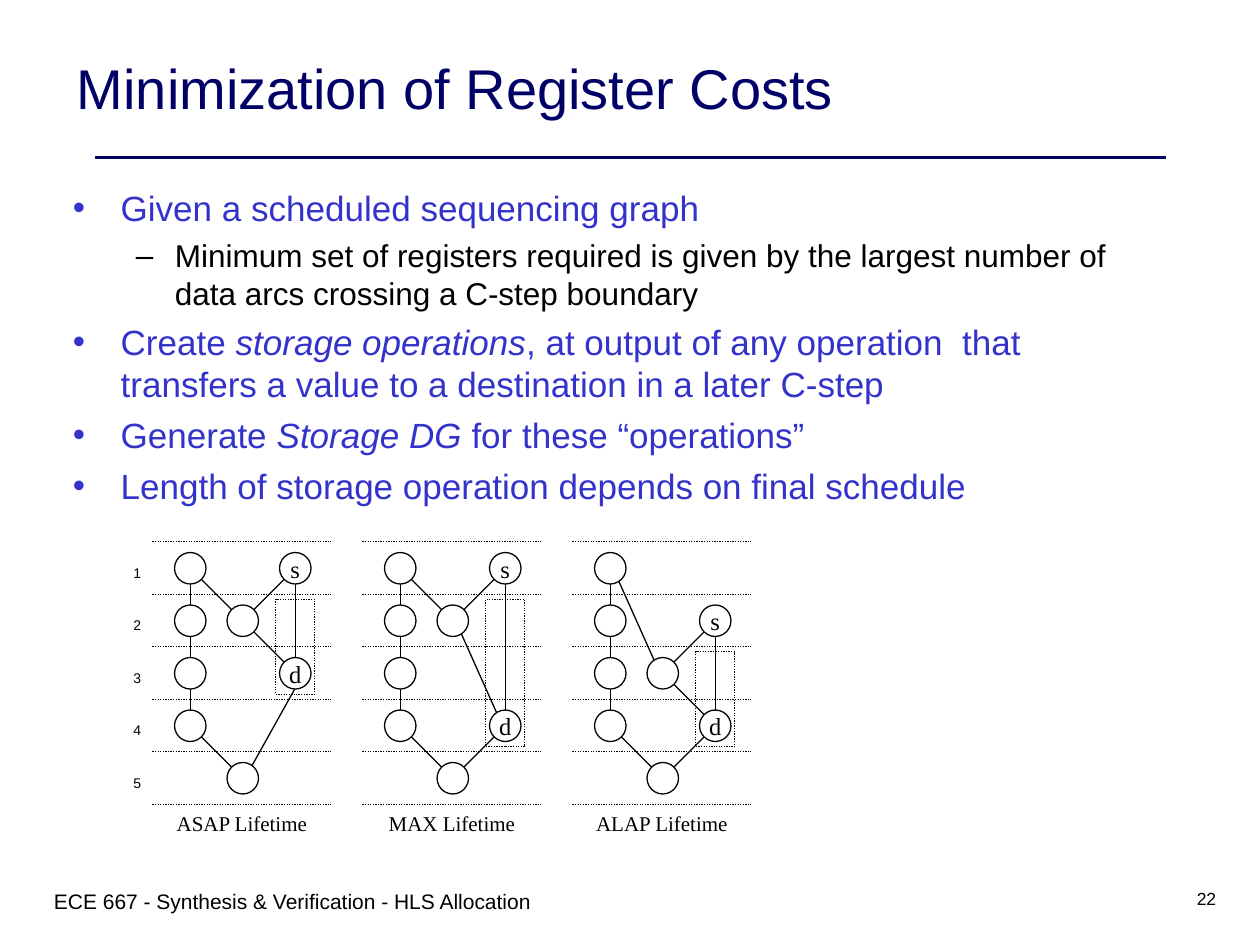
from lxml import etree
from pptx import Presentation
from pptx.dml.color import RGBColor
from pptx.enum.dml import MSO_LINE
from pptx.enum.shapes import MSO_CONNECTOR, MSO_SHAPE
from pptx.enum.text import MSO_ANCHOR, PP_ALIGN
from pptx.oxml.ns import qn
from pptx.util import Inches, Pt

LEFT, CENTER, RIGHT = PP_ALIGN.LEFT, PP_ALIGN.CENTER, PP_ALIGN.RIGHT
STRAIGHT, DOTTED = MSO_CONNECTOR.STRAIGHT, MSO_LINE.ROUND_DOT
OVAL, RECTANGLE = MSO_SHAPE.OVAL, MSO_SHAPE.RECTANGLE
TOP, MIDDLE = MSO_ANCHOR.TOP, MSO_ANCHOR.MIDDLE
NAVY = RGBColor(0x00, 0x00, 0x66)
BLUE = RGBColor(0x33, 0x33, 0xCC)
BLACK = RGBColor(0, 0, 0)
WHITE = RGBColor(0xFF, 0xFF, 0xFF)
SANS, SERIF = "Arial", "Times New Roman"

# Content
TITLE = "Minimization of Register Costs"
FOOTER = "ECE 667 - Synthesis & Verification - HLS Allocation"
PAGE_NUMBER = "22"
# (level, [(text, italic), ...])
BULLETS = [
    (0, [("Given a scheduled sequencing graph", False)]),
    (1, [("Minimum set of registers required is given by the largest number of "
          "data arcs crossing a C-step boundary", False)]),
    (0, [("Create ", False), ("storage operations", True),
         (", at output of any operation  that transfers a value to a "
          "destination in a later C-step", False)]),
    (0, [("Generate ", False), ("Storage DG", True),
         (" for these “operations”", False)]),
    (0, [("Length of storage operation depends on final schedule", False)]),
]
# Bullet, indent, hanging, size, space before, colour for each level
LEVELS = [("•", 0.38, 0.38, 20, 5, BLUE), ("–", 0.81, 0.31, 18, 4.5, BLACK)]

# Every graph has a chain in column 0, rows 0-3, and a sink at (1, 4).
# Other nodes and edges are given as (column, row).
CHAIN = [(0, row) for row in range(4)]
SINK = (1, 4)
GRAPHS = [
    {"caption": "ASAP Lifetime", "middle": (1, 1), "s": (2, 0), "d": (2, 2),
     "d_exit": (2.2, 2)},
    {"caption": "MAX Lifetime", "middle": (1, 1), "s": (2, 0), "d": (2, 3)},
    {"caption": "ALAP Lifetime", "middle": (1, 2), "s": (2, 1), "d": (2, 3)},
]

# Graph grid
STEPS = 5
STEP = 5 / 12
GRAPH_LEFT, GRAPH_TOP = 1.21, 4.3
GRAPH_WIDTH, GRAPH_PITCH = 1.42, 4 * STEP
NODE_X, NODE_Y = 0.3, 0.21
NODE_SIZE = 0.25
EDGE_INSET = 0.04
LIFETIME_WIDTH = 0.31

prs = Presentation()
prs.slide_width, prs.slide_height = Inches(10), Inches(7.5)
slide = prs.slides.add_slide(prs.slide_layouts[5])


def box(left, top, width, height):
    return [Inches(v) for v in (left, top, width, height)]


def add_run(paragraph, text, size, font, color, italic=False):
    run = paragraph.add_run()
    run.text = text
    run.font.size, run.font.name = Pt(size), font
    run.font.color.rgb = color
    run.font.italic = italic


def add_label(text, area, size, font=SANS, align=LEFT, wrap=True):
    frame = slide.shapes.add_textbox(*box(*area)).text_frame
    frame.word_wrap = wrap
    frame.paragraphs[0].alignment = align
    add_run(frame.paragraphs[0], text, size, font, BLACK)


def add_line(start, end, color=BLACK, width=0.75, dash=None):
    line = slide.shapes.add_connector(
        STRAIGHT, *[Inches(v) for v in (*start, *end)])
    line.line.color.rgb, line.line.width = color, Pt(width)
    if dash:
        line.line.dash_style = dash
    etree.SubElement(line._element.spPr, qn("a:effectLst"))


def add_outline(kind, area, fill=None, dash=None):
    shape = slide.shapes.add_shape(kind, *box(*area))
    shape.shadow.inherit = False
    if fill is None:
        shape.fill.background()
    else:
        shape.fill.solid()
        shape.fill.fore_color.rgb = fill
    shape.line.color.rgb, shape.line.width = BLACK, Pt(0.75)
    if dash:
        shape.line.dash_style = dash
    return shape


def set_bullet(paragraph, char, indent, hanging, color):
    props = paragraph._p.get_or_add_pPr()
    props.set("marL", str(Inches(indent)))
    props.set("indent", str(-Inches(hanging)))
    bullet_color = etree.SubElement(props, qn("a:buClr"))
    etree.SubElement(bullet_color, qn("a:srgbClr"), val=str(color))
    etree.SubElement(props, qn("a:buFont"), typeface=SANS)
    etree.SubElement(props, qn("a:buChar"), char=char)


def add_edge(left, start, end):
    """Join two grid nodes; the nodes drawn later cover the line ends."""
    (x1, y1), (x2, y2) = [
        (left + NODE_X + column * STEP, GRAPH_TOP + NODE_Y + row * STEP)
        for column, row in (start, end)]
    if start[0] == end[0]:
        add_line((x1, y1 + NODE_SIZE / 2), (x2, y2 - EDGE_INSET))
    else:
        shift = EDGE_INSET if x2 > x1 else -EDGE_INSET
        add_line((x1 + shift, y1 + EDGE_INSET), (x2 - shift, y2 - EDGE_INSET))


def add_node(left, place, letter=""):
    column, row = place
    node = add_outline(OVAL, (left + NODE_X + column * STEP - NODE_SIZE / 2,
                              GRAPH_TOP + NODE_Y + row * STEP - NODE_SIZE / 2,
                              NODE_SIZE, NODE_SIZE), fill=WHITE)
    if letter:
        frame = node.text_frame
        frame.margin_left = frame.margin_right = 0
        frame.margin_top = frame.margin_bottom = 0
        frame.word_wrap, frame.vertical_anchor = False, MIDDLE
        frame.paragraphs[0].alignment = CENTER
        add_run(frame.paragraphs[0], letter, 14, SERIF, BLACK)


def add_graph(left, graph):
    middle, s, d = graph["middle"], graph["s"], graph["d"]
    for boundary in range(STEPS + 1):
        y = GRAPH_TOP + boundary * STEP
        add_line((left, y), (left + GRAPH_WIDTH, y), dash=DOTTED)
    for start, end in [(CHAIN[0], CHAIN[-1]), (CHAIN[0], middle), (s, middle),
                       (middle, d), (s, d), (graph.get("d_exit", d), SINK),
                       (CHAIN[-1], SINK)]:
        add_edge(left, start, end)
    for place in CHAIN + [middle, SINK]:
        add_node(left, place)
    add_node(left, s, "s")
    add_node(left, d, "d")
    # Lifetime runs from the end of the step of s to the end of the step of d
    add_outline(RECTANGLE,
                (left + NODE_X + s[0] * STEP - LIFETIME_WIDTH / 2,
                 GRAPH_TOP + (s[1] + 1) * STEP + EDGE_INSET,
                 LIFETIME_WIDTH, (d[1] - s[1]) * STEP - 2 * EDGE_INSET),
                dash=DOTTED)
    add_label(graph["caption"], (left, GRAPH_TOP + STEPS * STEP, GRAPH_WIDTH, 0.3),
              12, SERIF, CENTER)


# Title, rule and footer
title = slide.shapes.title
title.left, title.top, title.width, title.height = box(0.51, 0.28, 9, 0.83)
title.text_frame.vertical_anchor = MIDDLE
title.text_frame.paragraphs[0].alignment = LEFT
add_run(title.text_frame.paragraphs[0], TITLE, 32, SANS, NAVY)
add_line((0.75, 1.25), (9.25, 1.25), NAVY, 2.25)
add_label(FOOTER, (0.33, 7, 4.5, 0.5), 12)
add_label(PAGE_NUMBER, (7.67, 7, 2.08, 0.5), 10, align=RIGHT)

# Bullets
body = slide.shapes.add_textbox(*box(0.48, 1.43, 8.44, 2.66)).text_frame
body.word_wrap, body.vertical_anchor = True, TOP
for i, (level, runs) in enumerate(BULLETS):
    char, indent, hanging, size, space, color = LEVELS[level]
    paragraph = body.add_paragraph() if i else body.paragraphs[0]
    paragraph.level = level
    set_bullet(paragraph, char, indent, hanging, color)
    if i:
        paragraph.space_before = Pt(space)
    for text, italic in runs:
        add_run(paragraph, text, size, SANS, color, italic)

# Schedules
for i, graph in enumerate(GRAPHS):
    add_graph(GRAPH_LEFT + i * GRAPH_PITCH, graph)
for step in range(STEPS):
    add_label(str(step + 1), (1.06, GRAPH_TOP + 0.13 + step * STEP, 0.06, 0.15),
              8, align=CENTER, wrap=False)

prs.save("out.pptx")
